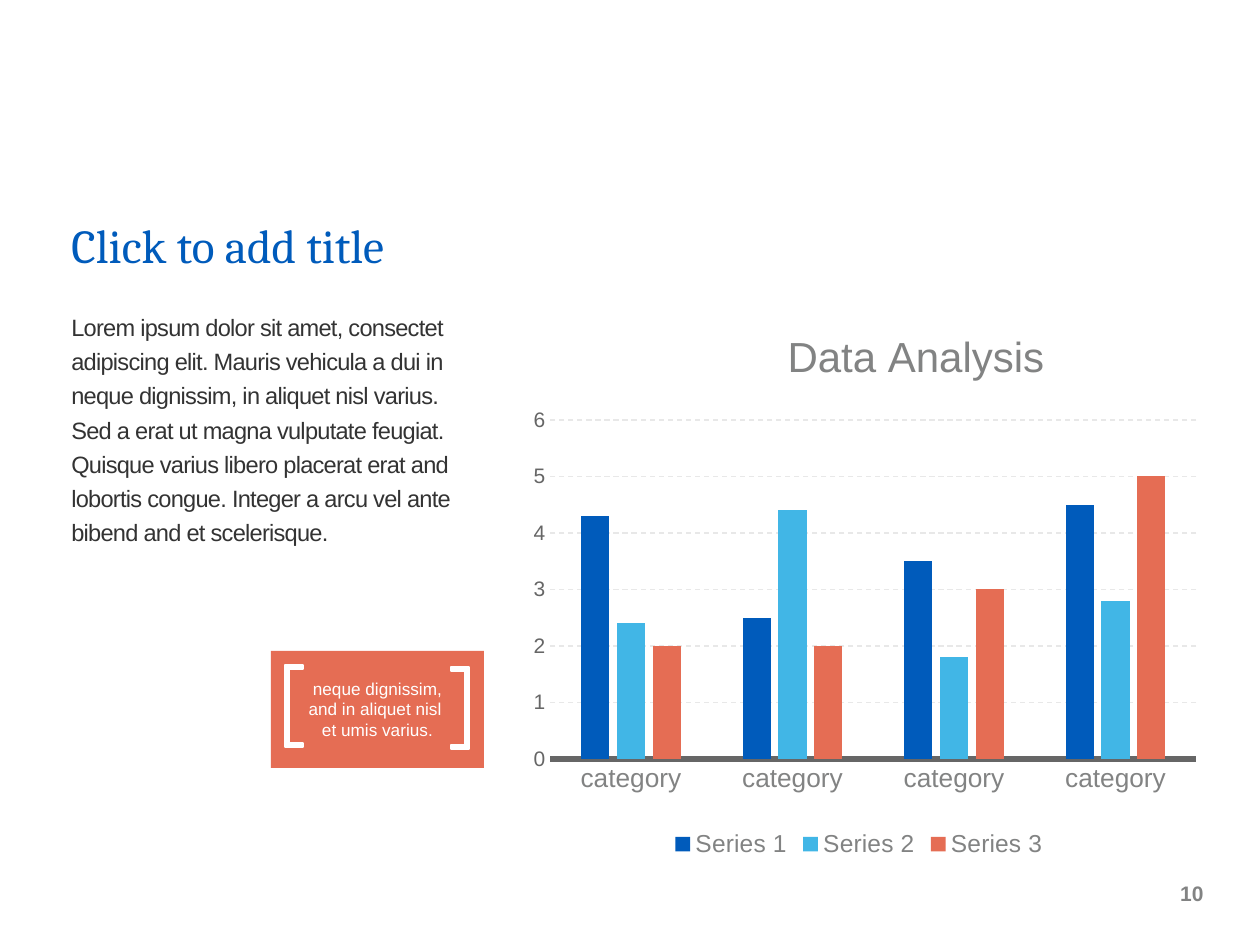
from lxml.etree import SubElement
from pptx import Presentation
from pptx.chart.data import CategoryChartData
from pptx.dml.color import RGBColor
from pptx.enum.chart import XL_CHART_TYPE, XL_LEGEND_POSITION, XL_TICK_MARK
from pptx.enum.dml import MSO_LINE
from pptx.enum.shapes import MSO_SHAPE
from pptx.enum.text import MSO_ANCHOR, PP_ALIGN
from pptx.oxml.ns import qn
from pptx.util import Pt

PX = 914400 / 126
COLORS = {name: RGBColor.from_string(value) for name, value in {
    "blue": "005BBB", "sky": "41B6E6", "coral": "E56D54", "white": "FFFFFF",
    "text": "333333", "gray": "828383", "axis": "666666", "grid": "E8E8E8",
}.items()}

presentation = Presentation()
presentation.slide_width = round(1260 * PX)
presentation.slide_height = round(945 * PX)
slide = presentation.slides.add_slide(presentation.slide_layouts[6])


def add_text(text, box, size, color, font="Arial", bold=False, align=PP_ALIGN.LEFT,
             anchor=MSO_ANCHOR.TOP, line_spacing=None, tracking=None):
    shape = slide.shapes.add_textbox(*[round(value * PX) for value in box])
    frame = shape.text_frame
    frame.word_wrap = True
    frame.vertical_anchor = anchor
    paragraph = frame.paragraphs[0]
    paragraph.text = text
    paragraph.alignment = align
    paragraph.line_spacing = line_spacing
    for run in paragraph.runs:
        run.font.name = font
        run.font.size = Pt(size)
        run.font.bold = bold
        run.font.color.rgb = COLORS[color]
        if tracking is not None:
            run._r.get_or_add_rPr().set("spc", str(round(tracking * 100)))


def set_layout(element, **values):
    layout = element.find(qn("c:layout"))
    if layout is None:
        layout = element.makeelement(qn("c:layout"))
        element.insert(0, layout)
    manual = SubElement(layout, qn("c:manualLayout"))
    for tag, value in values.items():
        SubElement(manual, qn(f"c:{tag}")).set("val", str(value))


# Page number
add_text("10", (1142, 857, 74, 73), 12, "gray", bold=True,
         align=PP_ALIGN.RIGHT, anchor=MSO_ANCHOR.MIDDLE)

# Column chart
chart_data = CategoryChartData()
chart_data.categories = ["category"] * 4
chart_data.add_series("Series 1", (4.3, 2.5, 3.5, 4.5))
chart_data.add_series("Series 2", (2.4, 4.4, 1.8, 2.8))
chart_data.add_series("Series 3", (2, 2, 3, 5))
chart = slide.shapes.add_chart(
    XL_CHART_TYPE.COLUMN_CLUSTERED,
    *[round(value * PX) for value in (500, 316, 718, 547)], chart_data).chart
plot = chart.plots[0]
plot.gap_width = 219
plot.overlap = -27
plot.vary_by_categories = False
for series, color in zip(plot.series, ("blue", "sky", "coral")):
    series.format.fill.solid()
    series.format.fill.fore_color.rgb = COLORS[color]

# Chart axes
category_axis, value_axis = chart.category_axis, chart.value_axis
for axis in (category_axis, value_axis):
    axis.major_tick_mark = axis.minor_tick_mark = XL_TICK_MARK.NONE
category_axis.format.line.color.rgb = COLORS["axis"]
category_axis.format.line.width = Pt(3.25)
value_axis.format.line.fill.background()
value_axis.minimum_scale, value_axis.maximum_scale = 0, 6
value_axis.major_unit = 1
grid_line = value_axis.major_gridlines.format.line
grid_line.color.rgb = COLORS["grid"]
grid_line.width = Pt(0.75)
grid_line.dash_style = MSO_LINE.DASH

# Chart title, legend and fonts
chart.has_title = True
title_frame = chart.chart_title.text_frame
title_frame.text = "Data Analysis"
chart.has_legend = True
chart.legend.position = XL_LEGEND_POSITION.BOTTOM
chart.legend.include_in_layout = False
for font, size, color in (
    (chart.font, 10, "axis"),
    (category_axis.tick_labels.font, 15, "gray"),
    (value_axis.tick_labels.font, 12, "axis"),
    (chart.legend.font, 14, "gray"),
    (title_frame.paragraphs[0].runs[0].font, 24, "gray"),
):
    font.name = "Arial"
    font.size = Pt(size)
    font.bold = False
    font.color.rgb = COLORS[color]
set_layout(chart.chart_title._element, xMode="edge", yMode="edge", x=0.39, y=0.01)
set_layout(chart._chartSpace.chart.plotArea, layoutTarget="inner", xMode="edge",
           yMode="edge", x=0.07, y=0.19, w=0.9, h=0.62)

# Title and body
add_text("Click to add title", (59, 181, 441, 98), 27, "blue", font="Cambria",
         anchor=MSO_ANCHOR.BOTTOM, line_spacing=0.8)
add_text("Lorem ipsum dolor sit amet, consectet adipiscing elit. Mauris vehicula a dui in "
         "neque dignissim, in aliquet nisl varius. Sed a erat ut magna vulputate feugiat. "
         "Quisque varius libero placerat erat and lobortis congue. Integer a arcu vel ante "
         "bibend and et scelerisque.",
         (59, 301, 413, 382), 13.5, "text", line_spacing=Pt(19.5), tracking=-0.4)

# Callout panel
panel = slide.shapes.add_shape(
    MSO_SHAPE.RECTANGLE, *[round(value * PX) for value in (271, 651, 213, 117)])
panel.shadow.inherit = False
panel.fill.solid()
panel.fill.fore_color.rgb = COLORS["coral"]
panel.line.fill.background()

# Square brackets, mirrored by direction
for outer, top, direction in ((285, 665, 1), (469, 667, -1)):
    tip, inner = outer + 18 * direction, outer + 4 * direction
    bottom = top + 82
    builder = slide.shapes.build_freeform(tip, top, scale=PX)
    builder.add_line_segments([
        (outer, top), (outer, bottom), (tip, bottom), (tip, bottom - 4),
        (inner, bottom - 4), (inner, top + 4), (tip, top + 4)], close=True)
    bracket = builder.convert_to_shape()
    bracket.shadow.inherit = False
    bracket.fill.solid()
    bracket.fill.fore_color.rgb = COLORS["white"]
    bracket.line.color.rgb = COLORS["white"]
    bracket.line.width = Pt(1)

# Callout text
add_text("neque dignissim, and in aliquet nisl \vet umis varius.",
         (296, 672, 163, 74), 9.8, "white", align=PP_ALIGN.CENTER)

presentation.save("out.pptx")
